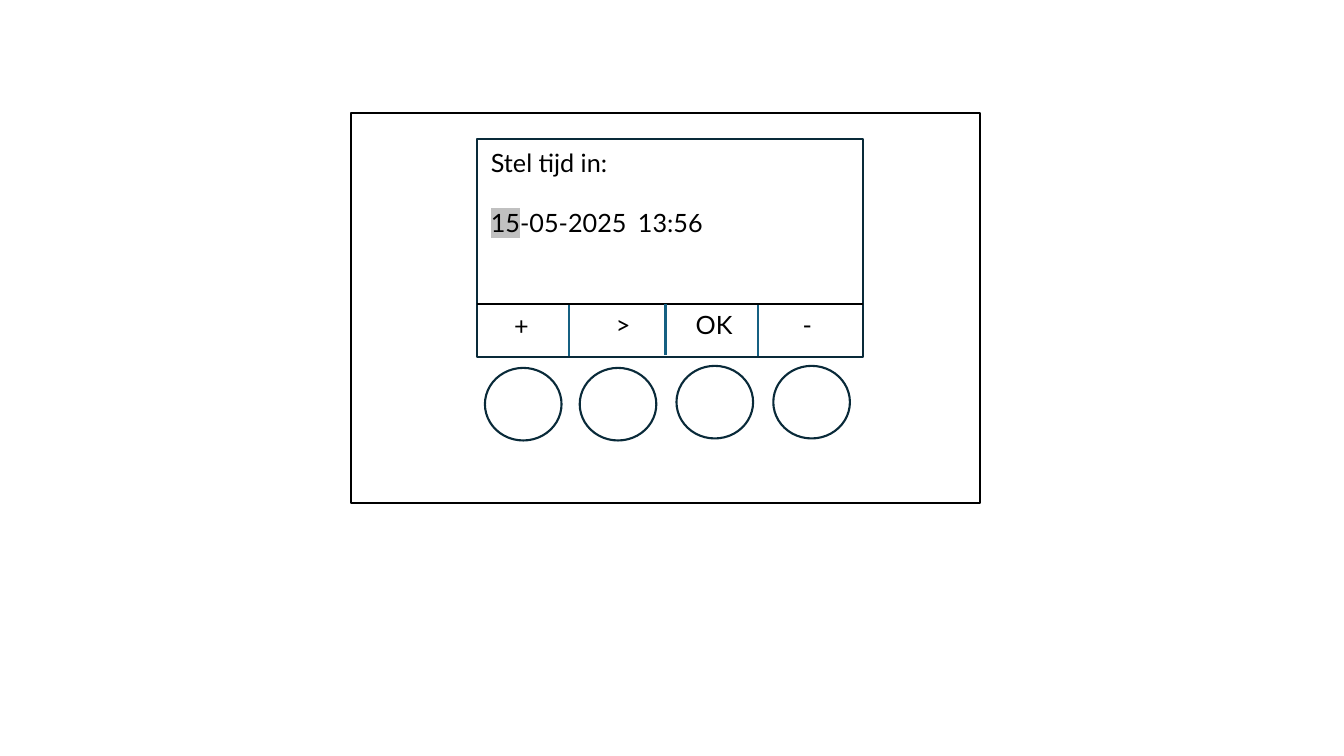
from dataclasses import dataclass
from typing import NamedTuple

from lxml.etree import SubElement
from pptx import Presentation
from pptx.dml.color import RGBColor
from pptx.enum.shapes import MSO_CONNECTOR, MSO_SHAPE
from pptx.enum.text import MSO_AUTO_SIZE
from pptx.oxml.ns import qn
from pptx.shapes.shapetree import SlideShapes
from pptx.text.text import TextFrame, _Run
from pptx.util import Inches, Pt


@dataclass(frozen=True)
class Theme:
    font: str = "Lato"
    text_size: float = 18
    line_width: float = 1.5
    ink: str = "000000"
    paper: str = "FFFFFF"
    outline: str = "092A39"
    divider: str = "156082"
    highlight: str = "C0C0C0"


class Box(NamedTuple):
    left: float
    top: float
    width: float
    height: float


class Key(NamedTuple):
    label: str
    label_left: float
    label_top: float
    indent: float
    button_left: float
    button_top: float


class Rule(NamedTuple):
    start: tuple[float, float]
    end: tuple[float, float]
    color: str


THEME = Theme()
HOUSING = Box(3.48, 1.12, 6.24, 3.87)
SCREEN = Box(4.73, 1.38, 3.83, 2.16)
MESSAGE = Box(4.77, 1.41, 2.78, 1.01)
LABEL_SIZE = (0.94, 0.4)
BUTTON_SIZE = (0.76, 0.72)
INSET = 0.1
KEY_ROW_TOP = 3.02
DIVIDER_HEIGHT = 0.5

KEYS = [
    Key("+", 4.81, 3.03, 0.19, 4.81, 3.65),
    Key(">", 5.75, 3.02, 0.26, 5.75, 3.65),
    Key("OK", 6.68, 3.02, 0.12, 6.71, 3.63),
    Key("-", 7.66, 3.02, 0.2, 7.67, 3.63),
]
DIVIDERS = [(5.64, 3.03), (6.6, 3.02), (7.52, 3.03)]
RULES = [
    Rule((SCREEN.left, KEY_ROW_TOP), (SCREEN.left + SCREEN.width, KEY_ROW_TOP), THEME.ink),
    *(Rule((x, top), (x, top + DIVIDER_HEIGHT), THEME.divider) for x, top in DIVIDERS),
]


def rgb(color: str) -> RGBColor:
    return RGBColor.from_string(color)


def draw_outline(shapes: SlideShapes, kind: MSO_SHAPE, box: Box, color: str) -> None:
    outline = shapes.add_shape(kind, *map(Inches, box))
    outline.shadow.inherit = False
    outline.fill.solid()
    outline.fill.fore_color.rgb = rgb(THEME.paper)
    outline.line.color.rgb = rgb(color)
    outline.line.width = Pt(THEME.line_width)


def draw_rule(shapes: SlideShapes, rule: Rule) -> None:
    connector = shapes.add_connector(
        MSO_CONNECTOR.STRAIGHT, *map(Inches, (*rule.start, *rule.end))
    )
    connector.line.color.rgb = rgb(rule.color)
    connector.line.width = Pt(THEME.line_width)
    SubElement(connector._element.spPr, qn("a:effectLst"))


def add_text_frame(shapes: SlideShapes, box: Box, indent: float = 0) -> TextFrame:
    frame = shapes.add_textbox(*map(Inches, box)).text_frame
    frame.word_wrap = True
    frame.auto_size = MSO_AUTO_SIZE.SHAPE_TO_FIT_TEXT
    frame.margin_left = Inches(INSET + indent)
    return frame


def format_runs(frame: TextFrame) -> None:
    for paragraph in frame.paragraphs:
        for run in paragraph.runs:
            run.font.name = THEME.font
            run.font.size = Pt(THEME.text_size)
            run.font.color.rgb = rgb(THEME.ink)


def highlight_run(run: _Run) -> None:
    properties = run.font._element
    highlight = SubElement(properties, qn("a:highlight"))
    SubElement(highlight, qn("a:srgbClr"), val=THEME.highlight)
    properties.find(qn("a:solidFill")).addnext(highlight)


def draw_key(shapes: SlideShapes, key: Key) -> None:
    button = Box(key.button_left, key.button_top, *BUTTON_SIZE)
    draw_outline(shapes, MSO_SHAPE.OVAL, button, THEME.outline)
    label = add_text_frame(
        shapes, Box(key.label_left, key.label_top, *LABEL_SIZE), key.indent
    )
    label.text = key.label
    format_runs(label)


def draw_message(shapes: SlideShapes) -> None:
    message = add_text_frame(shapes, MESSAGE)
    message.text = "Stel tijd in:"
    moment = message.add_paragraph()
    moment.space_before = Pt(THEME.text_size * 1.2)
    day, _, gap, _ = (moment.add_run() for _ in range(4))
    for run, text in zip(moment.runs, ("15", "-05-2025", " ", "13:56")):
        run.text = text
    format_runs(message)
    highlight_run(day)
    gap.font._element.set("spc", "350")


def main() -> None:
    presentation = Presentation()
    presentation.slide_width = Inches(13.33)
    presentation.slide_height = Inches(7.5)
    shapes = presentation.slides.add_slide(presentation.slide_layouts[6]).shapes
    draw_outline(shapes, MSO_SHAPE.RECTANGLE, HOUSING, THEME.ink)
    draw_outline(shapes, MSO_SHAPE.RECTANGLE, SCREEN, THEME.outline)
    for key in KEYS:
        draw_key(shapes, key)
    for rule in RULES:
        draw_rule(shapes, rule)
    draw_message(shapes)
    presentation.save("out.pptx")


if __name__ == "__main__":
    main()
